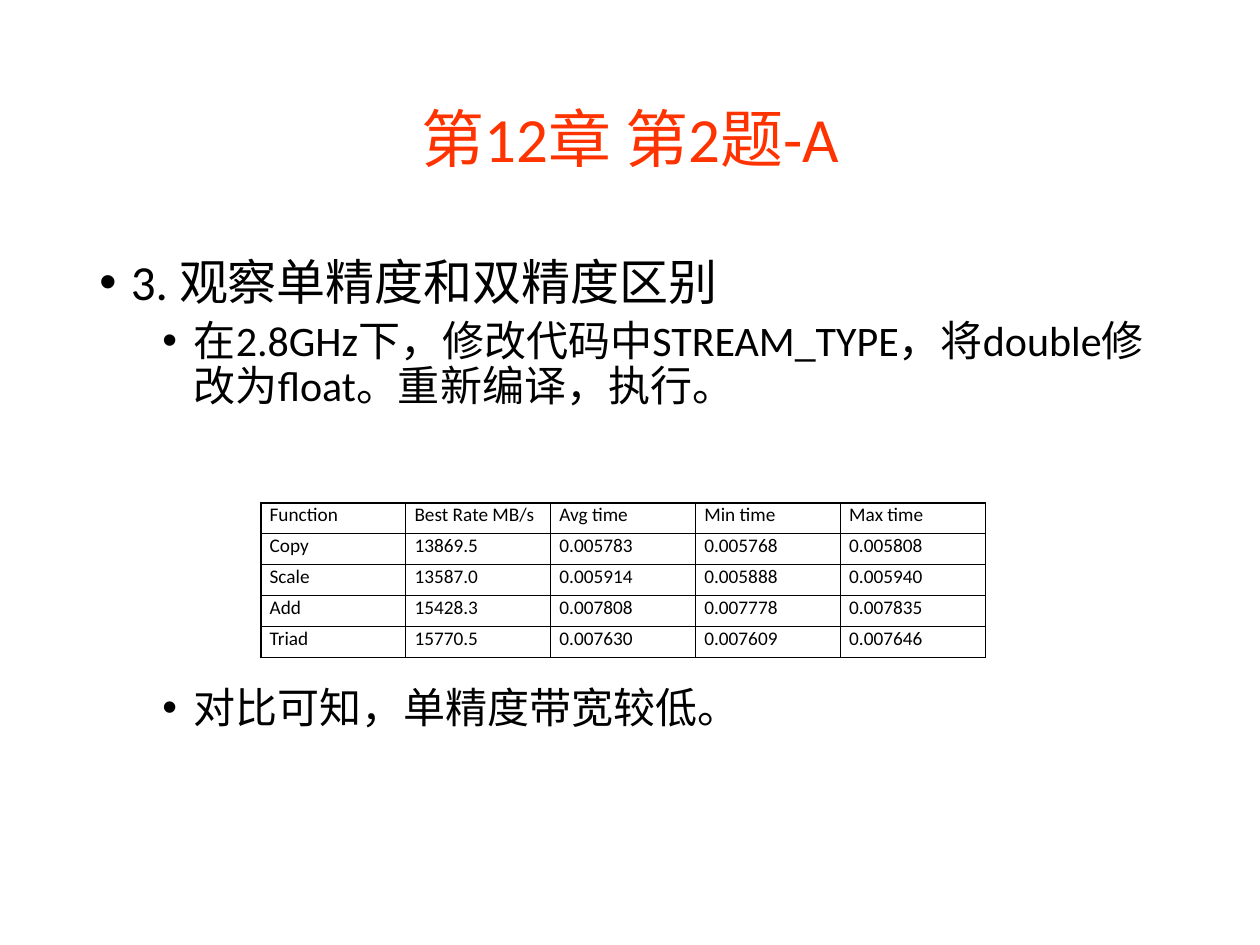
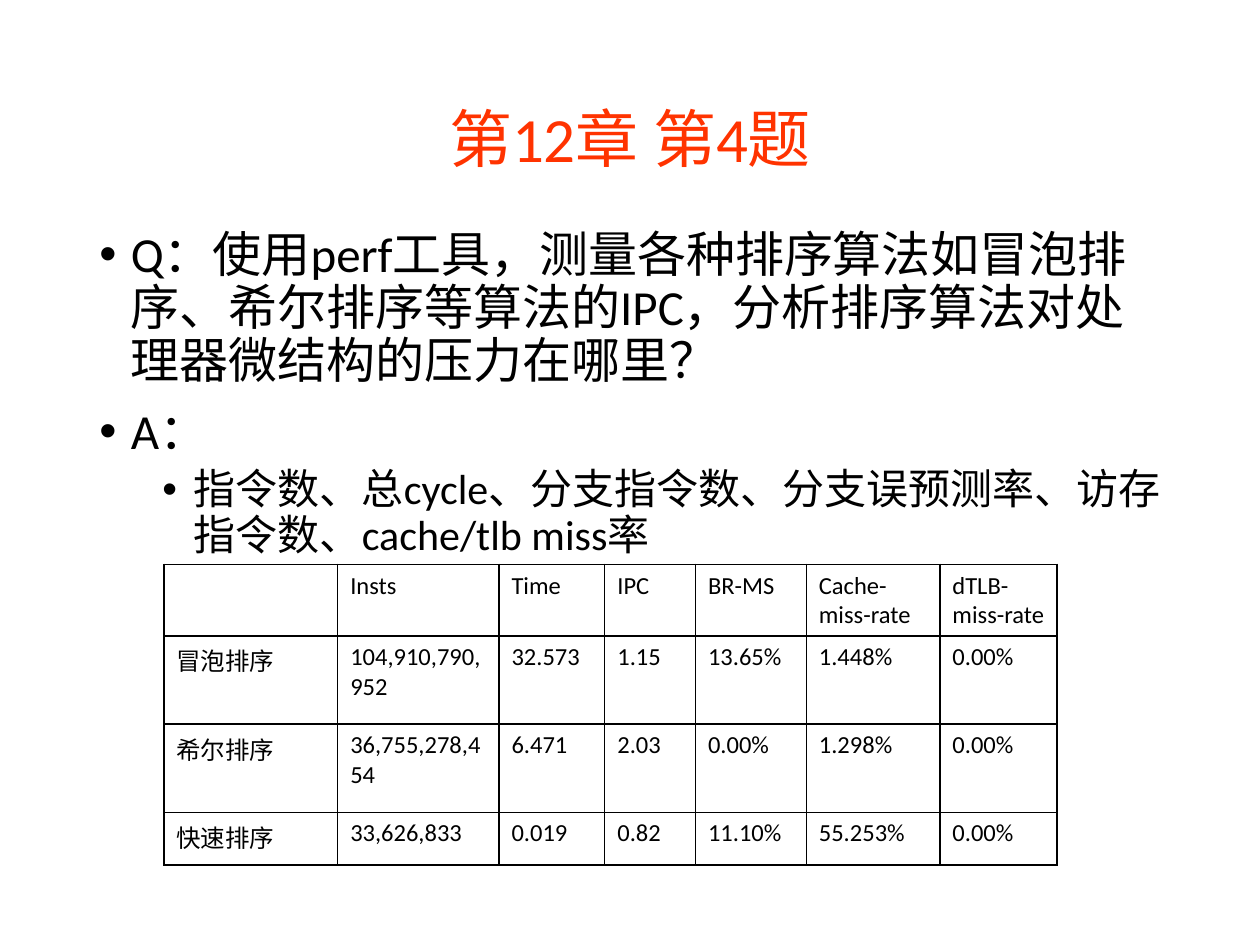
from lxml.etree import SubElement
from pptx import Presentation
from pptx.dml.color import RGBColor
from pptx.enum.text import MSO_ANCHOR, PP_ALIGN
from pptx.oxml.ns import qn
from pptx.util import Inches, Pt

# Content: bullets are (level, text, points of space before)
PRECISION = {
    "title": "第12章 第2题-A",
    "body_top": 2.0,
    "body_height": 4.76,
    "bullets": [
        (0, "3. 观察单精度和双精度区别", 10),
        (1, "在2.8GHz下，修改代码中STREAM_TYPE，将double修改为float。重新编译，执行。", 5),
        (1, "对比可知，单精度带宽较低。", 158),
    ],
    "table": {
        "rows": [
            ("Function", "Best Rate MB/s", "Avg time", "Min time", "Max time"),
            ("Copy", "13869.5", "0.005783", "0.005768", "0.005808"),
            ("Scale", "13587.0", "0.005914", "0.005888", "0.005940"),
            ("Add", "15428.3", "0.007808", "0.007778", "0.007835"),
            ("Triad", "15770.5", "0.007630", "0.007609", "0.007646"),
        ],
        "origin": (2.07, 3.99),
        "widths": [1.15] * 5,
        "heights": [0.246] * 5,
        "size": 11,
        "margins": (0.07, 0),
        "align": PP_ALIGN.JUSTIFY,
    },
}
SORTING = {
    "title": "第12章 第4题",
    "body_top": 1.78,
    "body_height": 5.16,
    "bullets": [
        (0, "Q：使用perf工具，测量各种排序算法如冒泡排序、希尔排序等算法的IPC，"
            "分析排序算法对处理器微结构的压力在哪里？", 10),
        (0, "A：", 10),
        (1, "指令数、总cycle、分支指令数、分支误预测率、访存指令数、cache/tlb miss率", 5),
    ],
    "table": {
        "rows": [
            ("", "Insts", "Time", "IPC", "BR-MS", "Cache-miss-rate", "dTLB-miss-rate"),
            ("冒泡排序", "104,910,790,952", "32.573", "1.15", "13.65%", "1.448%", "0.00%"),
            ("希尔排序", "36,755,278,454", "6.471", "2.03", "0.00%", "1.298%", "0.00%"),
            ("快速排序", "33,626,833", "0.019", "0.82", "11.10%", "55.253%", "0.00%"),
        ],
        "origin": (1.3, 4.48),
        "widths": [1.38, 1.28, 0.84, 0.72, 0.88, 1.06, 0.93],
        "heights": [0.42, 0.7, 0.7, 0.42],
        "size": 14,
        "margins": (0.1, 0.05),
        "align": PP_ALIGN.LEFT,
    },
}

# Shared style
RED = RGBColor(0xFF, 0x33, 0x00)
BLACK = RGBColor(0, 0, 0)
FONT = "Calibri"
LEFT, WIDTH = 0.69, 8.62
TITLE_TOP, TITLE_HEIGHT, TITLE_SIZE = 0.4, 1.45, 36
BULLET_SIZES = (28, 24)
HANGING, LEVEL_STEP = 0.25, 0.5


def style_runs(paragraph, size, color=BLACK):
    for run in paragraph.runs:
        run.font.name = FONT
        run.font.size = Pt(size)
        run.font.bold = False
        run.font.color.rgb = color


def add_frame(slide, top, height):
    box = slide.shapes.add_textbox(Inches(LEFT), Inches(top), Inches(WIDTH), Inches(height))
    box.text_frame.word_wrap = True
    return box.text_frame


def add_title(slide, title):
    frame = add_frame(slide, TITLE_TOP, TITLE_HEIGHT)
    frame.vertical_anchor = MSO_ANCHOR.MIDDLE
    frame.text = title
    heading = frame.paragraphs[0]
    heading.alignment = PP_ALIGN.CENTER
    heading.line_spacing = 0.9
    style_runs(heading, TITLE_SIZE, RED)


def add_bullets(slide, top, height, bullets):
    frame = add_frame(slide, top, height)
    for index, (level, text, gap) in enumerate(bullets):
        point = frame.add_paragraph() if index else frame.paragraphs[0]
        point.text = text
        point.level = level
        point.line_spacing = 0.9
        point.space_before = Pt(gap)
        style_runs(point, BULLET_SIZES[level])
        props = point._p.get_or_add_pPr()
        props.set("marL", str(Inches(HANGING + level * LEVEL_STEP)))
        props.set("indent", str(-Inches(HANGING)))
        SubElement(props, qn("a:buFont"), typeface="Arial")
        SubElement(props, qn("a:buChar"), char="•")


def add_borders(cell):
    props = cell._tc.get_or_add_tcPr()
    for position, side in enumerate(("a:lnL", "a:lnR", "a:lnT", "a:lnB")):
        line = SubElement(props, qn(side), w=str(Pt(1)))
        SubElement(SubElement(line, qn("a:solidFill")), qn("a:srgbClr"), val=str(BLACK))
        props.insert(position, line)  # borders come before the fill


def add_results(slide, rows, origin, widths, heights, size, margins, align):
    left, top = map(Inches, origin)
    table = slide.shapes.add_table(len(rows), len(widths), left, top,
                                   Inches(sum(widths)), Inches(sum(heights))).table
    table.first_row = table.horz_banding = False
    for column, width in zip(table.columns, widths):
        column.width = Inches(width)
    for row, height, values in zip(table.rows, heights, rows):
        row.height = Inches(height)
        for cell, value in zip(row.cells, values):
            cell.margin_left = cell.margin_right = Inches(margins[0])
            cell.margin_top = cell.margin_bottom = Inches(margins[1])
            cell.fill.background()
            add_borders(cell)
            cell.text = value
            entry = cell.text_frame.paragraphs[0]
            entry.alignment = align
            style_runs(entry, size)


def main():
    deck = Presentation()
    deck.slide_width, deck.slide_height = Inches(10), Inches(7.5)
    for answer in (PRECISION, SORTING):
        slide = deck.slides.add_slide(deck.slide_layouts[6])
        add_title(slide, answer["title"])
        add_bullets(slide, answer["body_top"], answer["body_height"], answer["bullets"])
        add_results(slide, **answer["table"])
    deck.save("out.pptx")


if __name__ == "__main__":
    main()
